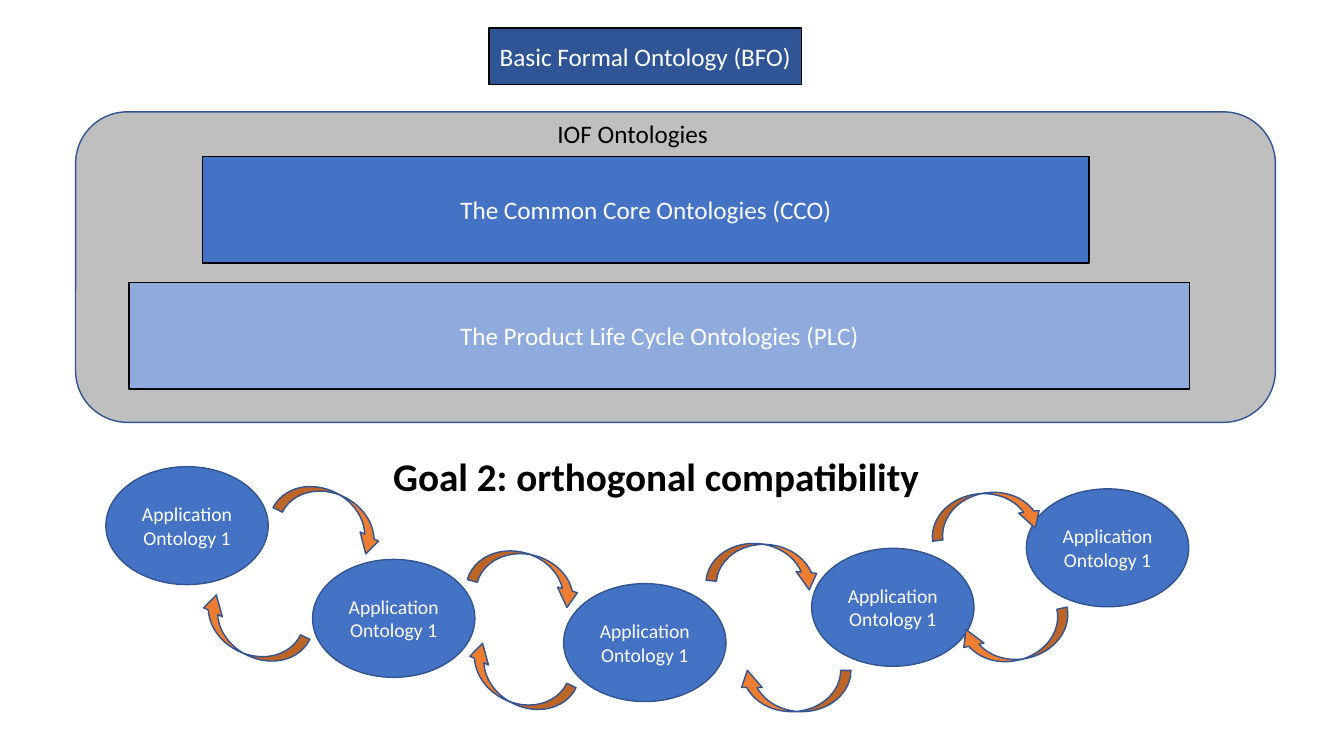
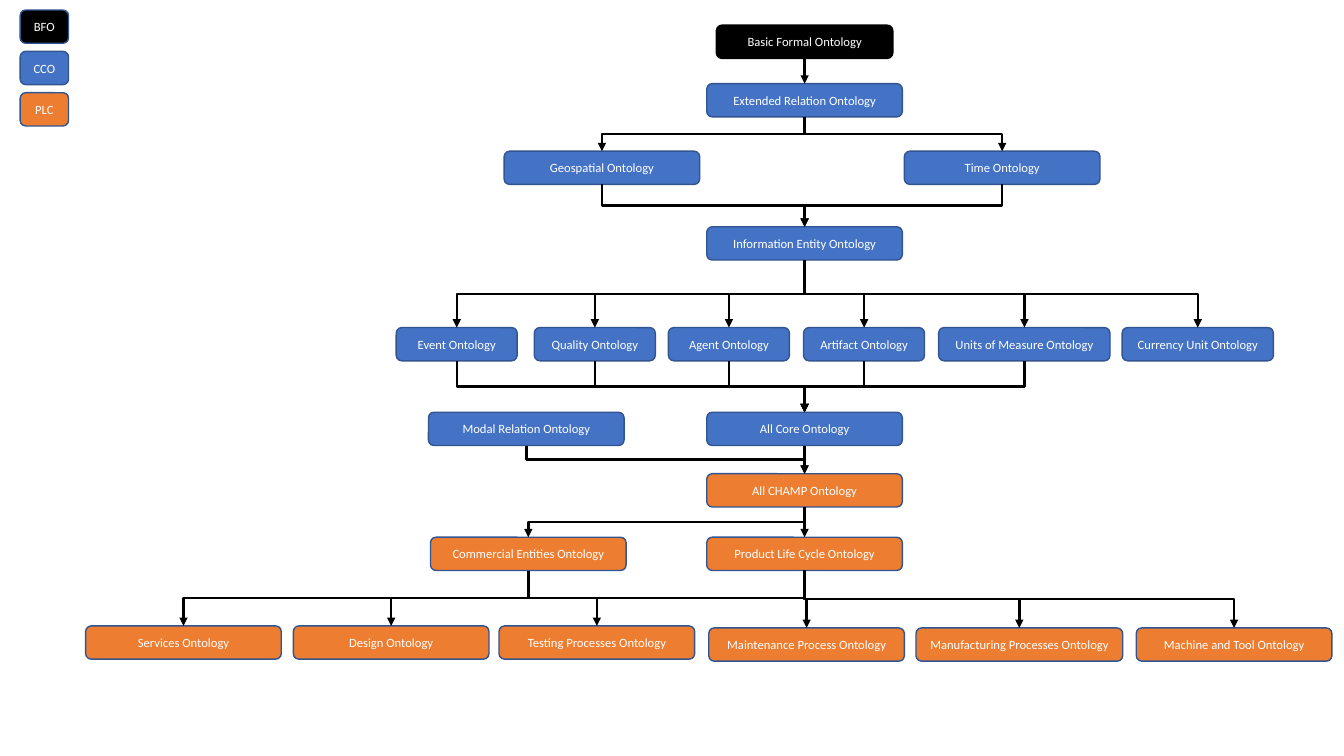
from dataclasses import dataclass

import pptx
import pptx.dml.color
import pptx.enum.shapes
import pptx.enum.text
import pptx.oxml.ns
import pptx.util
from lxml import etree

Inches = pptx.util.Inches
SHAPE = pptx.enum.shapes.MSO_SHAPE
CONNECTOR = pptx.enum.shapes.MSO_CONNECTOR
ALIGN = pptx.enum.text.PP_ALIGN


@dataclass(frozen=True)
class Theme:
    font: str = "Calibri"
    black: str = "000000"
    white: str = "FFFFFF"
    blue: str = "4472C4"
    dark_blue: str = "2F5597"
    light_blue: str = "8FAADC"
    outline: str = "325491"
    orange: str = "ED7D31"
    grey: str = "BFBFBF"
    headline_size: int = 28
    layer_size: int = 18
    application_size: int = 14
    node_size: int = 9
    outline_width: float = 1
    arrow_width: float = 1.75


THEME = Theme()

# Slide 1: layers as (text, left, top, width, height, fill)
LAYERS = [
    ("Basic Formal Ontology (BFO)", 4.85, 0.28, 3.1, 0.56, THEME.dark_blue),
    ("The Common Core Ontologies (CCO)", 2.01, 1.55, 8.79, 1.06, THEME.blue),
    ("The Product Life Cycle Ontologies (PLC)", 1.28, 2.8, 10.52, 1.06, THEME.light_blue),
]
APPLICATION = "Application Ontology 1"
APPLICATION_SIZE = (1.61, 1.17)
APPLICATION_CORNERS = [(1.05, 4.63), (3.1, 5.55), (5.59, 5.79), (8.05, 5.44), (10.18, 4.85)]
# Exchange arrows as (left, top, rotation)
ARROW_SIZE = (0.41, 1.13)
ARROW_BENDS = (0.25, 0.5, 0.415)
EXCHANGE_ARROWS = [
    (3.1, 4.54, 296.5), (2.27, 5.72, 115.4), (7.38, 5.04, 275.3), (4.91, 6.2, 115.4),
    (5.03, 5.14, 285.7), (7.67, 6.29, 90), (9.58, 4.53, 262.8), (9.87, 5.78, 77.5),
]

# Slide 2: families, then rows as (top, family, [(name, centre, width), ...])
FAMILIES = {"BFO": THEME.black, "CCO": THEME.blue, "PLC": THEME.orange}
LEGEND_LEFT, LEGEND_TOP, LEGEND_PITCH, LEGEND_WIDTH = 0.2, 0.1, 0.41, 0.48
NODE_HEIGHT = 0.33
SPINE, WIDE, NARROW = 7.98, 1.94, 1.2
ROWS = [
    (0.25, "BFO", [("Basic Formal Ontology", SPINE, 1.75)]),
    (0.83, "CCO", [("Extended Relation Ontology", SPINE, WIDE)]),
    (1.5, "CCO", [("Geospatial Ontology", 5.97, WIDE), ("Time Ontology", 9.94, WIDE)]),
    (2.25, "CCO", [("Information Entity Ontology", SPINE, WIDE)]),
    (3.25, "CCO", [
        ("Event Ontology", 4.53, NARROW),
        ("Quality Ontology", 5.9, NARROW),
        ("Agent Ontology", 7.23, NARROW),
        ("Artifact Ontology", 8.57, NARROW),
        ("Units of Measure Ontology", 10.16, 1.7),
        ("Currency Unit Ontology", 11.88, 1.5),
    ]),
    (4.09, "CCO", [("Modal Relation Ontology", 5.22, WIDE), ("All Core Ontology", SPINE, WIDE)]),
    (4.7, "PLC", [("All CHAMP Ontology", SPINE, WIDE)]),
    (5.33, "PLC", [
        ("Commercial Entities Ontology", 5.24, WIDE),
        ("Product Life Cycle Ontology", SPINE, WIDE),
    ]),
    (6.21, "PLC", [
        ("Services Ontology", 1.82, WIDE),
        ("Design Ontology", 3.88, WIDE),
        ("Testing Processes Ontology", 5.92, WIDE),
    ]),
    (6.23, "PLC", [
        ("Maintenance Process Ontology", 8, WIDE),
        ("Manufacturing Processes Ontology", 10.11, 2.05),
        ("Machine and Tool Ontology", 12.24, WIDE),
    ]),
]
# Every parent of a link points to every child
LINKS = [
    (["Basic Formal Ontology"], ["Extended Relation Ontology"]),
    (["Extended Relation Ontology"], ["Geospatial Ontology", "Time Ontology"]),
    (["Geospatial Ontology", "Time Ontology"], ["Information Entity Ontology"]),
    (["Information Entity Ontology"],
     ["Event Ontology", "Quality Ontology", "Agent Ontology", "Artifact Ontology",
      "Units of Measure Ontology", "Currency Unit Ontology"]),
    (["Event Ontology", "Quality Ontology", "Agent Ontology", "Artifact Ontology",
      "Units of Measure Ontology"], ["All Core Ontology"]),
    (["Modal Relation Ontology", "All Core Ontology"], ["All CHAMP Ontology"]),
    (["All CHAMP Ontology"], ["Commercial Entities Ontology", "Product Life Cycle Ontology"]),
    (["Commercial Entities Ontology"], ["Services Ontology"]),
    (["Product Life Cycle Ontology"],
     ["Design Ontology", "Testing Processes Ontology", "Maintenance Process Ontology",
      "Manufacturing Processes Ontology", "Machine and Tool Ontology"]),
]


def color(value):
    return pptx.dml.color.RGBColor.from_string(value)


def write(shape, text, size, text_color, align, bold=False, wrap=True):
    shape.text_frame.word_wrap = wrap
    paragraph = shape.text_frame.paragraphs[0]
    paragraph.text = text
    paragraph.alignment = align
    paragraph.font.name = THEME.font
    paragraph.font.size = pptx.util.Pt(size)
    paragraph.font.bold = bold
    paragraph.font.color.rgb = color(text_color)


def add_box(slide, kind, box, fill, outline=THEME.outline, text=None, size=None):
    shape = slide.shapes.add_shape(kind, *map(Inches, box))
    shape.shadow.inherit = False
    shape.fill.solid()
    shape.fill.fore_color.rgb = color(fill)
    shape.line.color.rgb = color(outline)
    shape.line.width = pptx.util.Pt(THEME.outline_width)
    if text:
        write(shape, text, size, THEME.white, ALIGN.CENTER)
    return shape


def add_label(slide, box, text, size, **style):
    label = slide.shapes.add_textbox(*map(Inches, box))
    write(label, text, size, THEME.black, ALIGN.LEFT, **style)


def add_link(slide, parent, child):
    """Join the bottom of parent to the top of child, bending halfway down."""
    start_x, start_y = parent.left + parent.width // 2, parent.top + parent.height
    end_x, end_y = child.left + child.width // 2, child.top
    run, drop = end_x - start_x, end_y - start_y
    straight = abs(run) < Inches(0.01)
    kind = CONNECTOR.STRAIGHT if straight else CONNECTOR.ELBOW
    connector = slide.shapes.add_connector(kind, start_x, start_y, end_x, end_y)
    connector.begin_connect(parent, 2)
    connector.end_connect(child, 0)
    properties = connector._element.spPr
    if not straight:
        # An elbow leaves sideways, so it is turned a quarter to leave downwards.
        connector.width, connector.height = drop, abs(run)
        connector.left = (start_x + end_x - drop) // 2
        connector.top = (start_y + end_y - abs(run)) // 2
        transform = properties.find(pptx.oxml.ns.qn("a:xfrm"))
        transform.set("rot", str((270 if run > 0 else 90) * 60000))
        transform.set("flipH", "1" if run > 0 else "0")
    connector.line.color.rgb = color(THEME.black)
    connector.line.width = pptx.util.Pt(THEME.arrow_width)
    line = properties.find(pptx.oxml.ns.qn("a:ln"))
    etree.SubElement(line, pptx.oxml.ns.qn("a:tailEnd"), type="triangle")
    etree.SubElement(properties, pptx.oxml.ns.qn("a:effectLst"))


def build_layers(slide):
    add_box(slide, SHAPE.ROUNDED_RECTANGLE, (0.75, 1.11, 11.9, 3.08), THEME.grey)
    for text, *box, fill in LAYERS:
        add_box(slide, SHAPE.RECTANGLE, box, fill, THEME.black, text, THEME.layer_size)
    add_label(slide, (5.43, 1.12, 2.62, 0.4), "IOF Ontologies", THEME.layer_size)
    for corner in APPLICATION_CORNERS:
        add_box(slide, SHAPE.OVAL, corner + APPLICATION_SIZE, THEME.blue,
                text=APPLICATION, size=THEME.application_size)
    for left, top, rotation in EXCHANGE_ARROWS:
        arrow = add_box(slide, SHAPE.CURVED_LEFT_ARROW, (left, top) + ARROW_SIZE, THEME.orange)
        arrow.rotation = rotation
        for index, bend in enumerate(ARROW_BENDS):
            arrow.adjustments[index] = bend
    add_label(slide, (3.8, 4.44, 5.48, 0.57), "Goal 2: orthogonal compatibility",
              THEME.headline_size, bold=True, wrap=False)


def build_hierarchy(slide):
    for index, (family, fill) in enumerate(FAMILIES.items()):
        box = (LEGEND_LEFT, LEGEND_TOP + index * LEGEND_PITCH, LEGEND_WIDTH, NODE_HEIGHT)
        add_box(slide, SHAPE.ROUNDED_RECTANGLE, box, fill, text=family, size=THEME.node_size)
    nodes = {}
    for top, family, members in ROWS:
        outline = THEME.black if family == "BFO" else THEME.outline
        for name, center, width in members:
            box = (center - width / 2, top, width, NODE_HEIGHT)
            nodes[name] = add_box(slide, SHAPE.ROUNDED_RECTANGLE, box, FAMILIES[family],
                                  outline, name, THEME.node_size)
    for parents, children in LINKS:
        for parent in parents:
            for child in children:
                add_link(slide, nodes[parent], nodes[child])


def main():
    presentation = pptx.Presentation()
    presentation.slide_width = Inches(13.33)
    presentation.slide_height = Inches(7.5)
    blank = presentation.slide_layouts[6]
    for build in (build_layers, build_hierarchy):
        build(presentation.slides.add_slide(blank))
    presentation.save("out.pptx")


if __name__ == "__main__":
    main()
